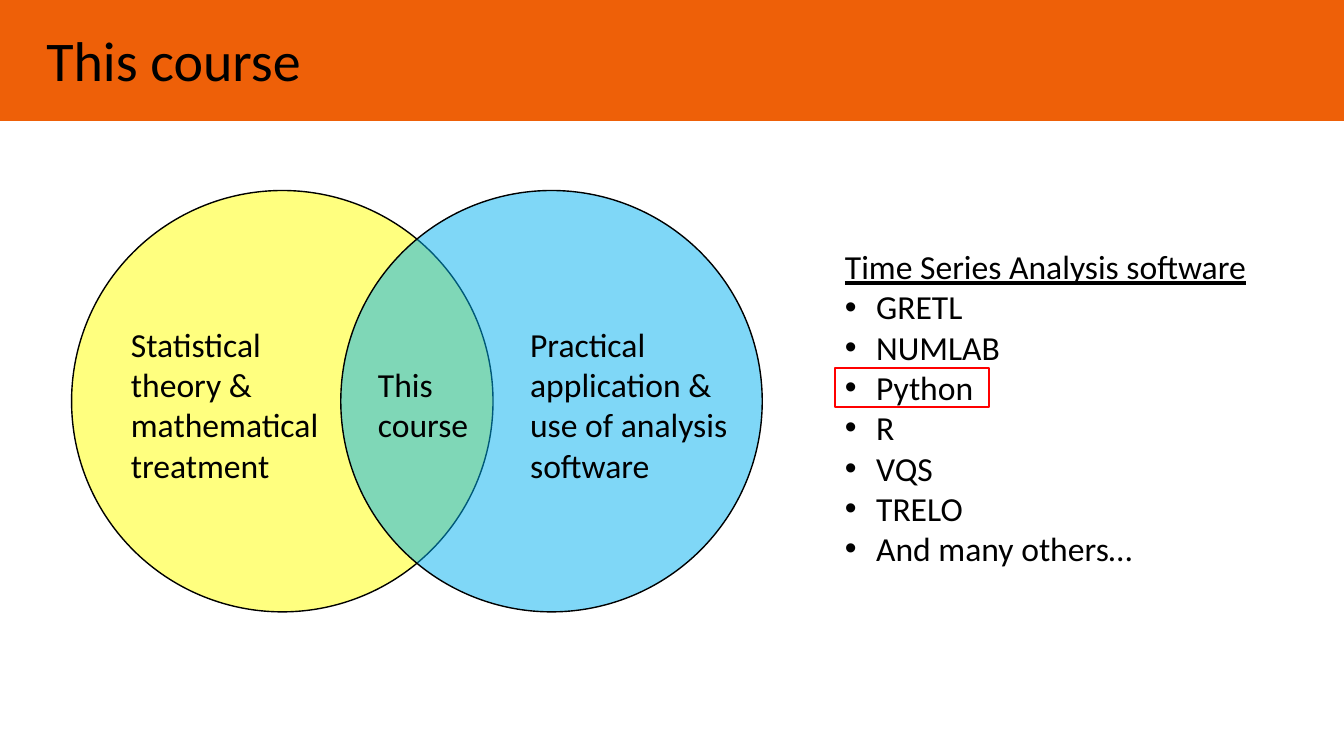
"""Build the course overview slide with a two-circle diagram and a software list."""
from lxml.etree import SubElement
from pptx import Presentation
from pptx.dml.color import RGBColor
from pptx.enum.shapes import MSO_SHAPE
from pptx.enum.text import MSO_ANCHOR, MSO_AUTO_SIZE, PP_ALIGN
from pptx.oxml.ns import qn
from pptx.util import Inches, Pt

TITLE = "This course"
HEAD = "Time Series Analysis software"
TOOLS = ["GRETL", "NUMLAB", "Python", "R", "VQS", "TRELO", "And many others…"]
CIRCLES = [(0.71, "yellow"), (3.38, "blue")]
LABELS = [
    ("Practical application & use of analysis software", (5.16, 3.16, 2.27, 1.72)),
    ("Statistical theory & mathematical treatment", (1.2, 3.16, 2.18, 1.72)),
    ("This course", (3.65, 3.56, 1.24, 0.91)),
]
THEME = {
    "font": "Calibri", "title": 40, "text": 24,
    "ink": "000000", "bar": "EE6008", "yellow": "FFFF00",
    "blue": "00B0F0", "mark": "FF0000",
}
WIDTH, HEIGHT = 13.33, 7.5
TOP, SIZE = 1.89, 4.18
INDENT = 0.31
FRAME = {"word_wrap": True, "auto_size": MSO_AUTO_SIZE.NONE,
         "vertical_anchor": MSO_ANCHOR.TOP}
PARA = {"alignment": PP_ALIGN.LEFT, "line_spacing": 1.0,
        "space_before": Pt(0), "space_after": Pt(0)}


def color(name):
    return RGBColor.from_string(THEME[name])


def apply(item, values):
    for key, value in values.items():
        setattr(item, key, value)


def place(shape, box):
    apply(shape, dict(zip(("left", "top", "width", "height"), map(Inches, box))))


def bullet(para, char):
    props = para._p.get_or_add_pPr()
    step = Inches(INDENT) if char else 0
    props.set("marL", str(step))
    props.set("indent", str(-step))
    if char:
        SubElement(props, qn("a:buFont"), typeface="Arial")
        SubElement(props, qn("a:buChar"), char=char)
    else:
        SubElement(props, qn("a:buNone"))


def write(shape, lines, size, bullets=()):
    frame = shape.text_frame
    frame.text = "\n".join(lines)
    apply(frame, FRAME)
    for para in frame.paragraphs:
        apply(para, PARA)
    for para, char in zip(frame.paragraphs, bullets):
        bullet(para, char)
    for para in frame.paragraphs:
        apply(para.font, {"name": THEME["font"], "size": Pt(THEME[size])})
        para.font.color.rgb = color("ink")


def draw(slide, kind, box, fill=None, line=None, weight=1, alpha=None):
    shape = slide.shapes.add_shape(kind, *map(Inches, box))
    shape.shadow.inherit = False
    if fill:
        shape.fill.solid()
        shape.fill.fore_color.rgb = color(fill)
    else:
        shape.fill.background()
    if alpha:
        tint = shape.element.spPr.find(".//" + qn("a:srgbClr"))
        SubElement(tint, qn("a:alpha"), val=str(alpha * 1000))
    if line:
        shape.line.color.rgb = color(line)
        shape.line.width = Pt(weight)
    else:
        shape.line.fill.background()
    return shape


def main():
    deck = Presentation()
    apply(deck, {"slide_width": Inches(WIDTH), "slide_height": Inches(HEIGHT)})
    slide = deck.slides.add_slide(deck.slide_layouts[1])
    title, body = slide.placeholders

    bar = draw(slide, MSO_SHAPE.RECTANGLE, (0, 0, WIDTH, 1.2), "bar")
    title.element.addprevious(bar.element)
    place(title, (0.36, 0.2, 10.03, 0.77))
    write(title, [TITLE], "title")

    for left, fill in CIRCLES:
        draw(slide, MSO_SHAPE.OVAL, (left, TOP, SIZE, SIZE), fill, "ink", alpha=50)
    for text, box in LABELS:
        write(slide.shapes.add_textbox(*map(Inches, box)), [text], "text")

    place(body, (8.28, 2.39, 4.23, 3.33))
    write(body, [HEAD, *TOOLS], "text", [None] + ["•"] * len(TOOLS))
    body.text_frame.paragraphs[0].font.underline = True
    draw(slide, MSO_SHAPE.RECTANGLE, (8.28, 3.65, 1.53, 0.39), line="mark", weight=1.5)
    deck.save("out.pptx")


if __name__ == "__main__":
    main()
